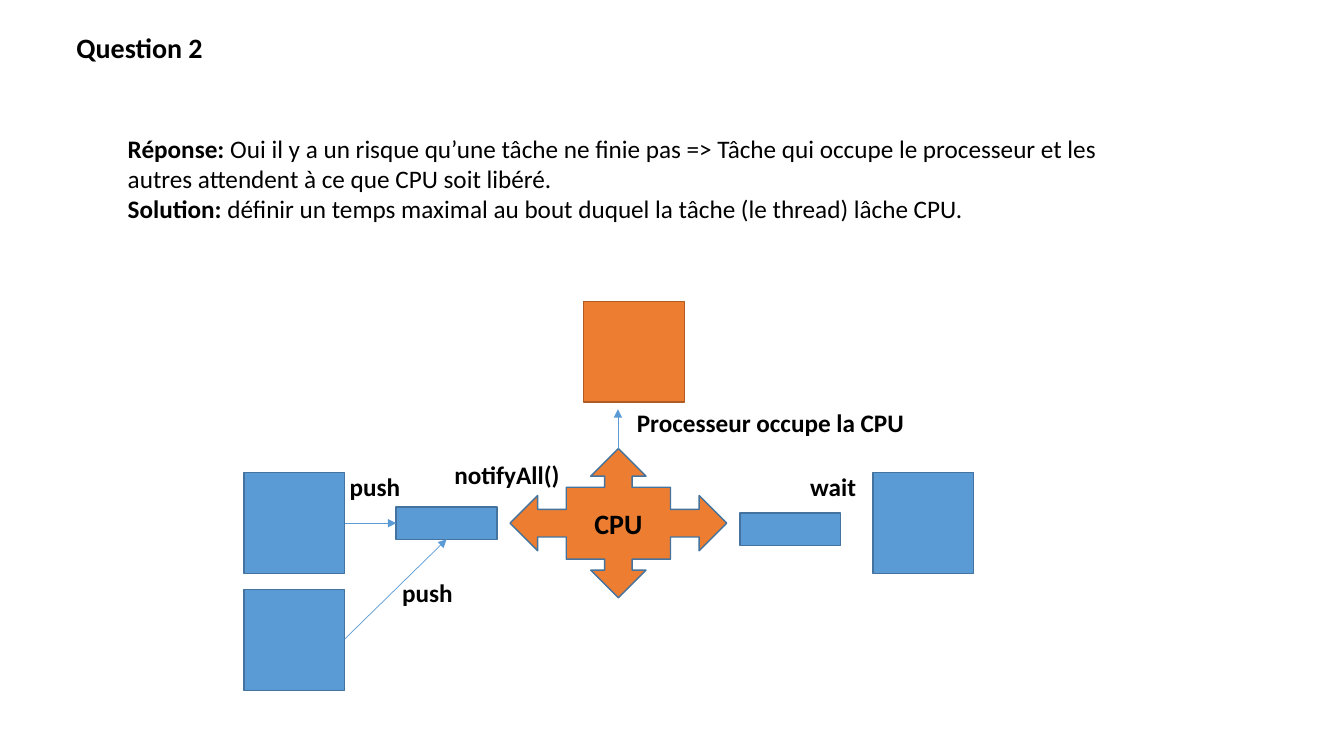
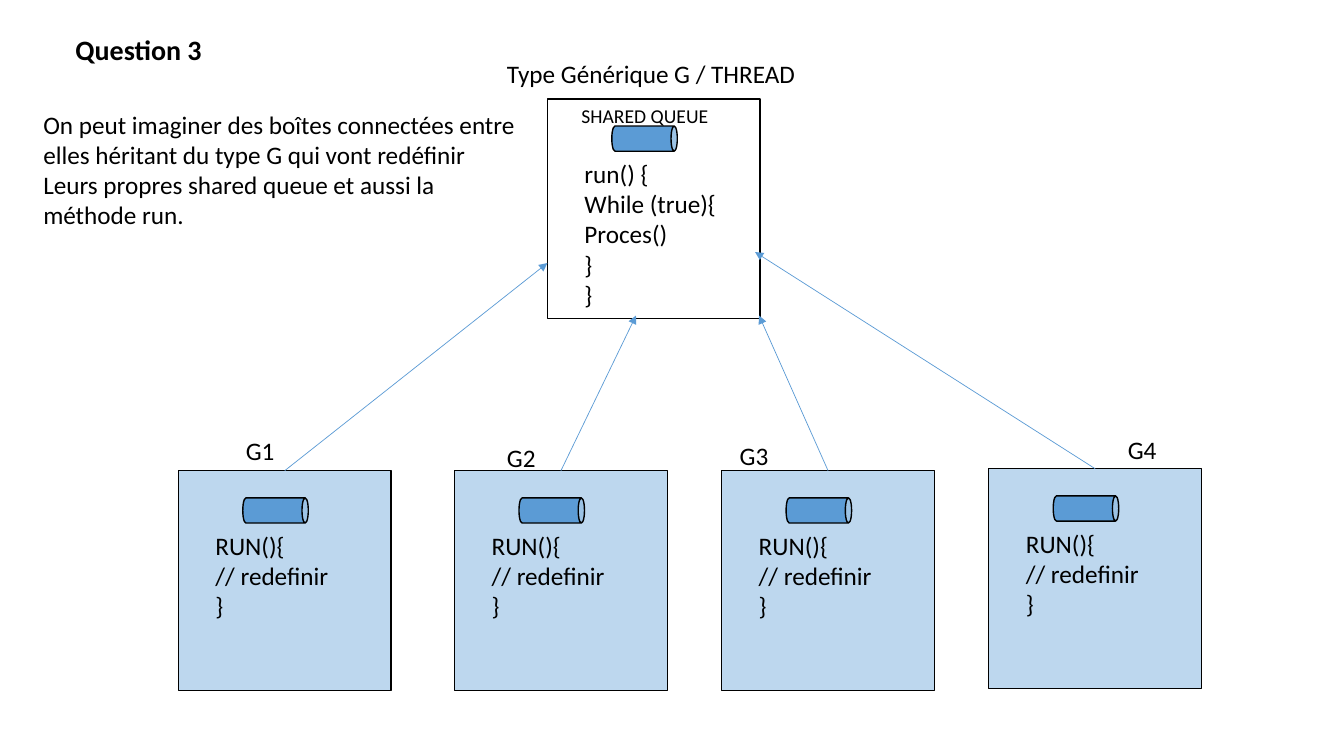
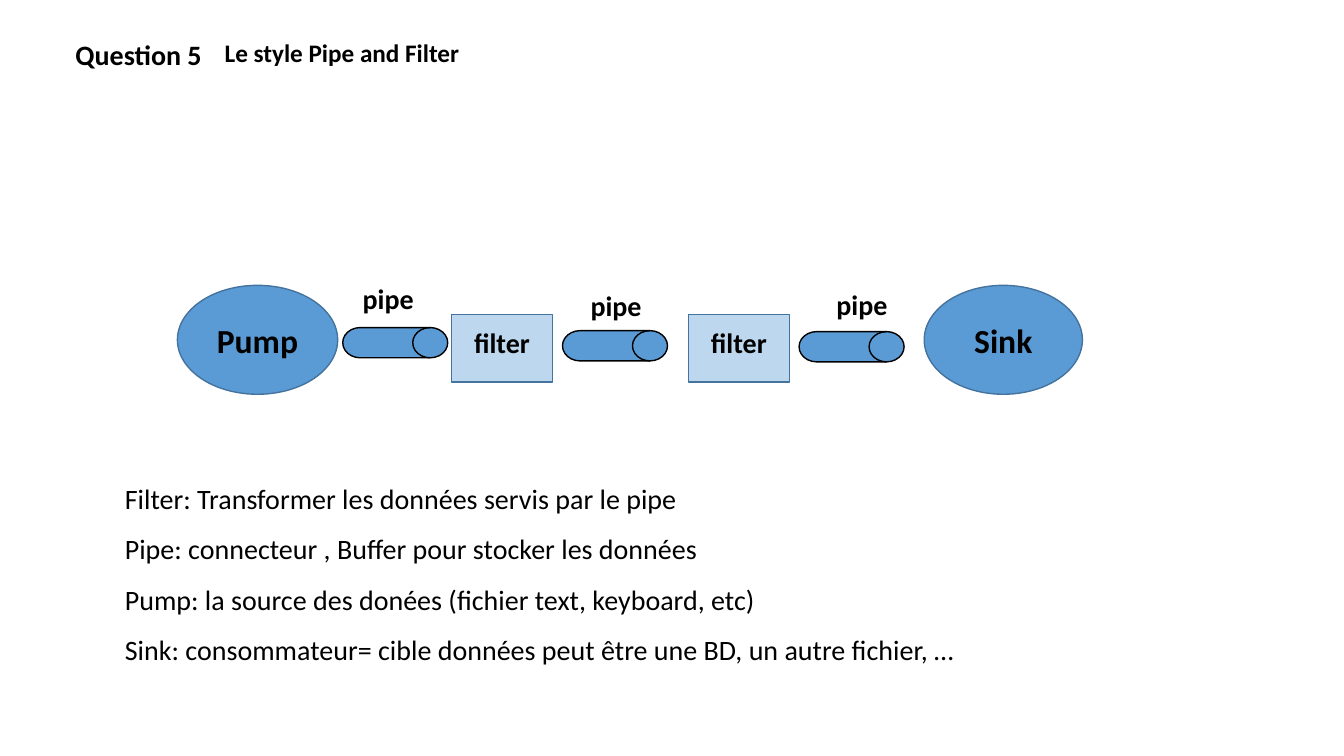
from lxml.etree import SubElement
from pptx import Presentation
from pptx.dml.color import RGBColor
from pptx.enum.shapes import MSO_CONNECTOR, MSO_SHAPE
from pptx.enum.text import MSO_AUTO_SIZE, PP_ALIGN
from pptx.oxml.ns import qn
from pptx.util import Pt

BLACK = RGBColor(0x00, 0x00, 0x00)
BLUE = RGBColor(0x5B, 0x9B, 0xD5)
DARK_BLUE = RGBColor(0x43, 0x73, 0x9E)
PALE_BLUE = RGBColor(0xBD, 0xD7, 0xEE)
ORANGE = RGBColor(0xED, 0x7D, 0x31)
DARK_ORANGE = RGBColor(0xAF, 0x5C, 0x24)
FONT = "Calibri"


class Deck:
    def __init__(self):
        self.prs = Presentation()
        self.prs.slide_width, self.prs.slide_height = Pt(960), Pt(540)
        self.s = None

    def slide(self, title, x, y):
        self.s = self.prs.slides.add_slide(self.prs.slide_layouts[6])
        self.text(title, x, y, 105.8, 31.7, size=20, bold=True, wrap=False)

    def style(self, p, size, bold):
        p.font.name = FONT
        p.font.size = Pt(size)
        p.font.bold = bold
        p.font.color.rgb = BLACK

    def text(self, text, x, y, w, h=28.8, size=18, bold=False, wrap=True, spacing=None):
        """Each line of text is a paragraph; a part before a | is bold."""
        tf = self.s.shapes.add_textbox(Pt(x), Pt(y), Pt(w), Pt(h)).text_frame
        tf.word_wrap = wrap
        tf.auto_size = MSO_AUTO_SIZE.SHAPE_TO_FIT_TEXT
        for i, line in enumerate(text.split("\n")):
            p = tf.paragraphs[0] if i == 0 else tf.add_paragraph()
            self.style(p, size, bold)
            if spacing:
                p.line_spacing = spacing
            lead, bar, rest = line.rpartition("|")
            if bar:
                r = p.add_run()
                r.text = lead
                r.font.bold = True
            p.add_run().text = rest

    def shape(self, kind, x, y, w, h, fill=BLUE, line=DARK_BLUE, label="", size=20, lift=0):
        """Draw a preset shape; lift moves its centred label up."""
        sp = self.s.shapes.add_shape(kind, Pt(x), Pt(y), Pt(w), Pt(h))
        sp.shadow.inherit = False
        if fill is None:
            sp.fill.background()
        else:
            sp.fill.solid()
            sp.fill.fore_color.rgb = fill
        sp.line.color.rgb = line
        sp.line.width = Pt(1)
        if label:
            tf = sp.text_frame
            tf.margin_bottom = Pt(3.6 + 2 * lift)
            p = tf.paragraphs[0]
            p.alignment = PP_ALIGN.CENTER
            self.style(p, size, True)
            p.add_run().text = label
        return sp

    def tube(self, kind, x, y, length, thickness):
        """Lay an upright cylinder on its side; x, y is its visible corner."""
        shift = (length - thickness) / 2
        sp = self.shape(kind, x + shift, y - shift, thickness, length, line=BLACK)
        sp.rotation = 90

    def thread_box(self, x, y, code, fill=None):
        self.shape(MSO_SHAPE.RECTANGLE, x, y, 152, 157, fill, BLACK)
        self.tube(MSO_SHAPE.CAN, x + 46, y + 19.4, 46.8, 18)
        self.text(code, x + 19.4, y + 38.9, 132.5, 72.7)

    def arrow(self, x1, y1, x2, y2):
        c = self.s.shapes.add_connector(MSO_CONNECTOR.STRAIGHT, Pt(x1), Pt(y1), Pt(x2), Pt(y2))
        c.line.color.rgb = BLUE
        c.line.width = Pt(0.5)
        SubElement(c.line._get_or_add_ln(), qn("a:tailEnd"), type="triangle")
        SubElement(c._element.spPr, qn("a:effectLst"))


def cpu_slide(deck):
    deck.slide("Question 2", 47.5, 18)
    deck.text("Réponse: |Oui il y a un risque qu’une tâche ne finie pas => Tâche qui occupe "
              "le processeur et les autres attendent à ce que CPU soit libéré.\n"
              "Solution: |définir un temps maximal au bout duquel la tâche (le thread) lâche CPU.",
              84.2, 91.4, 756, 72.7)
    deck.shape(MSO_SHAPE.QUAD_ARROW_CALLOUT, 364.3, 320.4, 154.8, 106.6, ORANGE, label="CPU")
    for x, y in [(283, 362.2), (528.5, 366.5)]:
        deck.shape(MSO_SHAPE.RECTANGLE, x, y, 72, 23)
    for x, y in [(174.2, 337.7), (174.2, 421.2), (623.5, 337.7)]:
        deck.shape(MSO_SHAPE.RECTANGLE, x, y, 72, 72)
    deck.shape(MSO_SHAPE.RECTANGLE, 416.9, 215.3, 72, 72, ORANGE, DARK_ORANGE)
    for ends in [(246.2, 373.7, 283, 373.7), (246.2, 456.5, 319, 385.2),
                 (441.4, 320.4, 441.4, 292.3)]:
        deck.arrow(*ends)
    for label, x, y, w in [("wait", 571.7, 333.4, 59.8), ("notifyAll()", 317.5, 324.7, 130.3),
                           ("push", 280.1, 409, 130.3), ("push", 242.6, 333.4, 130.3),
                           ("Processeur occupe la CPU", 447.8, 287.3, 232.6)]:
        deck.text(label, x, y, w, bold=True)


def thread_slide(deck):
    deck.slide("Question 3", 46.8, 19.4)
    deck.text("On peut imaginer des boîtes connectées entre elles héritant du type G qui vont "
              "redéfinir\nLeurs propres shared queue et aussi la méthode run.",
              23.8, 74.2, 361.4, 94.3)
    deck.text("Type Générique G / THREAD", 355, 38.2, 243.4)
    deck.thread_box(391, 70.6, "run() {\nWhile (true){\nProces()\n}\n}")
    deck.text("SHARED QUEUE", 408.2, 70.6, 105.8, 24.5, size=14, wrap=False)
    children = [
        ("G1", 127.4, 336.2, (168.5, 307.4), (391, 187.9)),
        ("G2", 324.7, 336.2, (355, 312.5), (454.3, 225.4)),
        ("G3", 515.5, 336.2, (521.3, 311), (542.2, 225.4)),
        ("G4", 706.3, 334.8, (798.5, 306.7), (539.3, 180)),
    ]
    for name, x, y, name_at, target in children:
        deck.thread_box(x, y, "RUN(){\n// redefinir\n}", PALE_BLUE)
        deck.arrow(x + 76, y, *target)
        deck.text(name, *name_at, 35.3, wrap=False)


def pipe_slide(deck):
    deck.slide("Question 5", 46.8, 23)
    deck.text("Le style Pipe and Filter", 153.4, 23, 183.6, bold=True, wrap=False)
    for label, x, w in [("Pump", 126.7, 114.5), ("Sink", 660.2, 113)]:
        deck.shape(MSO_SHAPE.OVAL, x, 203.8, w, 77.8, label=label, size=24)
    for x in (322.6, 491.8):
        deck.shape(MSO_SHAPE.FLOWCHART_PROCESS, x, 224.6, 72, 48.2, PALE_BLUE,
                   label="filter", lift=3.8)
    for x, y, label_x, label_y in [(244.8, 234, 252, 197.3), (401.8, 236.2, 414.7, 202.3),
                                   (570.8, 236.9, 590.4, 201.6)]:
        deck.tube(MSO_SHAPE.FLOWCHART_MAGNETIC_DISK, x, y, 75, 21.6)
        deck.text("pipe", label_x, label_y, 61.2, 31.7, size=20, bold=True)
    deck.text("Filter: Transformer les données servis par le pipe\n"
              "Pipe: connecteur , Buffer pour stocker les données\n"
              "Pump: la source des donées (fichier text, keyboard, etc)\n"
              "Sink: consommateur= cible données peut être une BD, un autre fichier, …",
              82.1, 328.3, 612.7, 152.6, size=20, wrap=False, spacing=1.5)


def main():
    deck = Deck()
    cpu_slide(deck)
    thread_slide(deck)
    pipe_slide(deck)
    deck.prs.save("out.pptx")


if __name__ == "__main__":
    main()
